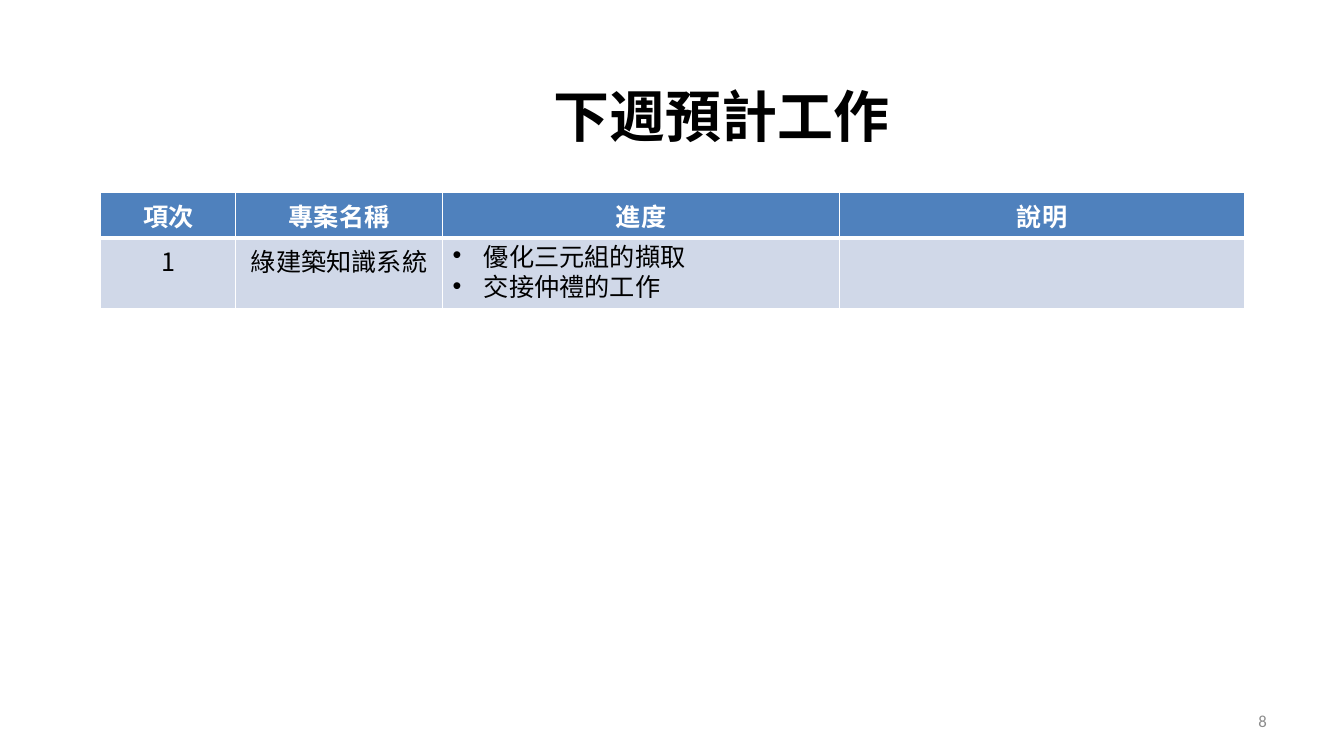
from dataclasses import dataclass

import pptx
import pptx.dml.color
import pptx.enum.text
import pptx.oxml
import pptx.oxml.ns
import pptx.util
from pptx.util import Cm

RGBColor = pptx.dml.color.RGBColor
Align = pptx.enum.text.PP_ALIGN
Anchor = pptx.enum.text.MSO_ANCHOR

WHITE = RGBColor(0xFF, 0xFF, 0xFF)
BLACK = RGBColor(0x00, 0x00, 0x00)
GRAY = RGBColor(0x8C, 0x8C, 0x8C)
HEADER_BLUE = RGBColor(0x4F, 0x81, 0xBD)
ROW_BLUE = RGBColor(0xD0, 0xD8, 0xE8)
BULLET_INDENT = Cm(0.79)


@dataclass(frozen=True)
class TextStyle:
    font: str
    east_asian_font: str
    size: float
    color: RGBColor
    bold: bool = False


@dataclass(frozen=True)
class Label:
    text: str
    left: float
    top: float
    width: float
    height: float
    align: Align
    style: TextStyle


@dataclass(frozen=True)
class Column:
    heading: str
    width: float
    body: str
    bulleted: bool = False


@dataclass(frozen=True)
class RowStyle:
    height: float
    fill: RGBColor
    text: TextStyle
    bottom_border: float


TITLE_STYLE = TextStyle("Noto Sans CJK SC", "Noto Sans CJK SC", 40, BLACK, True)
NUMBER_STYLE = TextStyle("Calibri", "Noto Sans CJK TC", 12, GRAY)
HEADER_STYLE = TextStyle("Calibri", "Noto Sans CJK TC", 18, WHITE, True)
BODY_STYLE = TextStyle("Noto Sans CJK TC", "Noto Sans CJK TC", 18, BLACK)

LABELS = [
    Label("8", 24.28, 17.65, 7.9, 1.02, Align.RIGHT, NUMBER_STYLE),
    Label("下週預計工作", 10.49, 1.93, 15.39, 1.96, Align.CENTER, TITLE_STYLE),
]
COLUMNS = [
    Column("項次", 3.4, "1"),
    Column("專案名稱", 5.21, "綠建築知識系統"),
    Column("進度", 10.01, "優化三元組的擷取\n交接仲禮的工作", bulleted=True),
    Column("說明", 10.2, ""),
]
HEADER_ROW = RowStyle(1.14, HEADER_BLUE, HEADER_STYLE, 3)
BODY_ROW = RowStyle(1.76, ROW_BLUE, BODY_STYLE, 1)


def format_text(text_frame: pptx.text.text.TextFrame, style: TextStyle, align: Align) -> None:
    for paragraph in text_frame.paragraphs:
        paragraph.alignment = align
        for run in paragraph.runs:
            run.font.name = style.font
            run.font.size = pptx.util.Pt(style.size)
            run.font.bold = style.bold
            run.font.color.rgb = style.color
            properties = run.font._element
            east_asian = pptx.oxml.parse_xml(
                f'<a:ea {pptx.oxml.ns.nsdecls("a")} typeface="{style.east_asian_font}"/>'
            )
            properties.find(pptx.oxml.ns.qn("a:latin")).addnext(east_asian)


def add_label(slide: pptx.slide.Slide, label: Label) -> None:
    shape = slide.shapes.add_textbox(
        Cm(label.left), Cm(label.top), Cm(label.width), Cm(label.height)
    )
    text_frame = shape.text_frame
    text_frame.word_wrap = True
    text_frame.vertical_anchor = Anchor.MIDDLE
    text_frame.text = label.text
    format_text(text_frame, label.style, label.align)


def add_borders(cell: pptx.table._Cell, bottom_width: float, top_width: float) -> None:
    properties = cell._tc.get_or_add_tcPr()
    widths = {"lnL": 1, "lnR": 1, "lnT": top_width, "lnB": bottom_width}
    for tag, width in widths.items():
        properties.append(pptx.oxml.parse_xml(
            f'<a:{tag} {pptx.oxml.ns.nsdecls("a")} w="{pptx.util.Pt(width)}">'
            f'<a:solidFill><a:srgbClr val="{WHITE}"/></a:solidFill></a:{tag}>'
        ))


def add_bullets(text_frame: pptx.text.text.TextFrame) -> None:
    for paragraph in text_frame.paragraphs:
        paragraph.line_spacing = pptx.util.Pt(21.8)
        properties = paragraph._p.get_or_add_pPr()
        properties.set("marL", str(BULLET_INDENT))
        properties.set("indent", str(-BULLET_INDENT))
        for element in ('buFont typeface="Arial"', 'buChar char="•"'):
            properties.append(pptx.oxml.parse_xml(
                f'<a:{element} {pptx.oxml.ns.nsdecls("a")}/>'
            ))


def fill_cell(
    cell: pptx.table._Cell, text: str, row: RowStyle, top_border: float, bulleted: bool
) -> None:
    cell.text_frame.text = text
    format_text(cell.text_frame, row.text, Align.LEFT if bulleted else Align.CENTER)
    if bulleted:
        add_bullets(cell.text_frame)
    add_borders(cell, row.bottom_border, top_border)
    cell.fill.solid()
    cell.fill.fore_color.rgb = row.fill


def add_work_table(slide: pptx.slide.Slide) -> None:
    width = sum(column.width for column in COLUMNS)
    height = HEADER_ROW.height + BODY_ROW.height
    table = slide.shapes.add_table(
        2, len(COLUMNS), Cm(2.54), Cm(4.85), Cm(width), Cm(height)
    ).table
    table.horz_banding = False
    for table_row, row in zip(table.rows, (HEADER_ROW, BODY_ROW)):
        table_row.height = Cm(row.height)
    for index, column in enumerate(COLUMNS):
        table.columns[index].width = Cm(column.width)
        fill_cell(table.cell(0, index), column.heading, HEADER_ROW, 1, False)
        fill_cell(
            table.cell(1, index), column.body, BODY_ROW,
            HEADER_ROW.bottom_border, column.bulleted,
        )


def main() -> None:
    presentation = pptx.Presentation()
    presentation.slide_width = Cm(33.87)
    presentation.slide_height = Cm(19.05)
    slide = presentation.slides.add_slide(presentation.slide_layouts[6])
    for label in LABELS:
        add_label(slide, label)
    add_work_table(slide)
    presentation.save("out.pptx")


if __name__ == "__main__":
    main()
